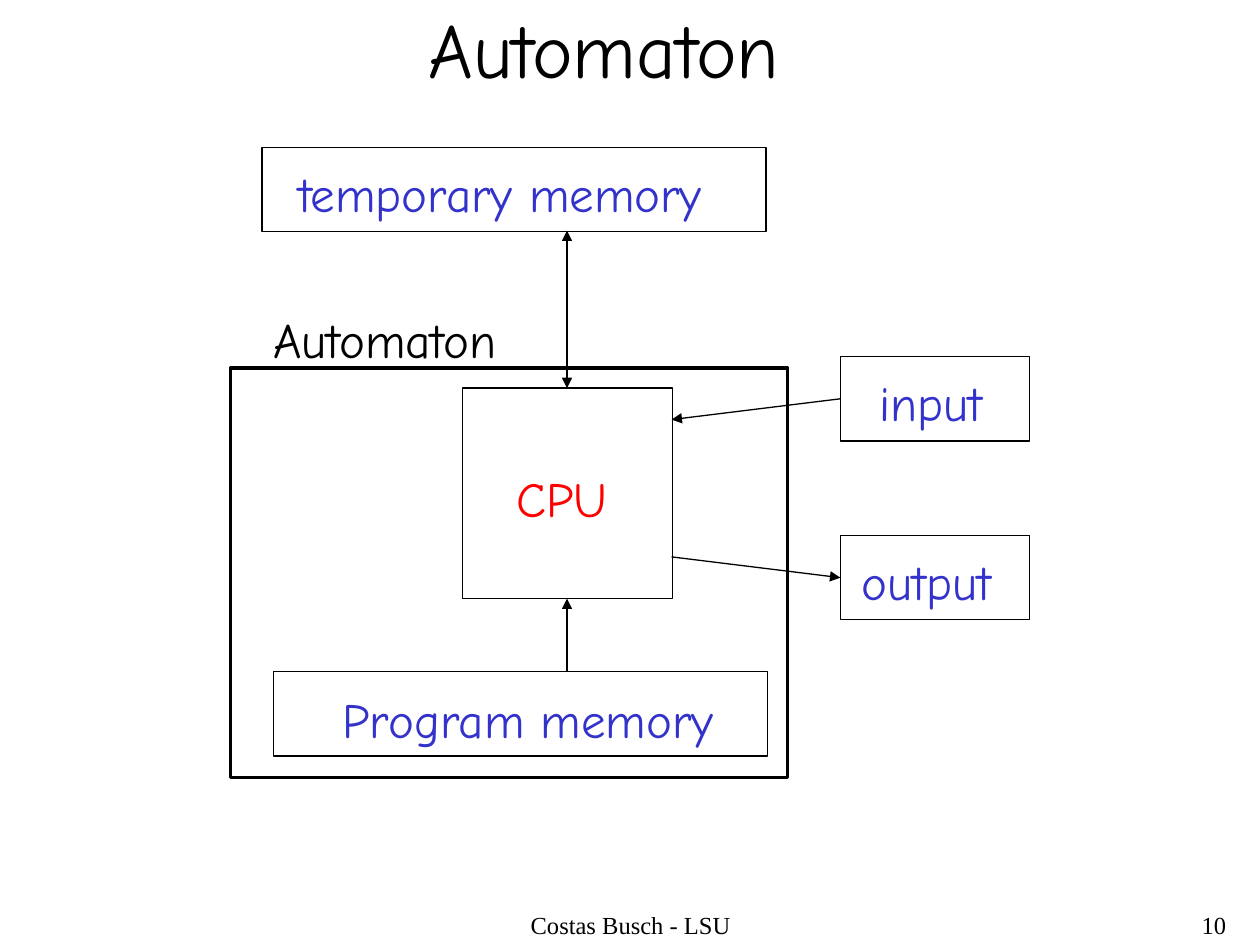
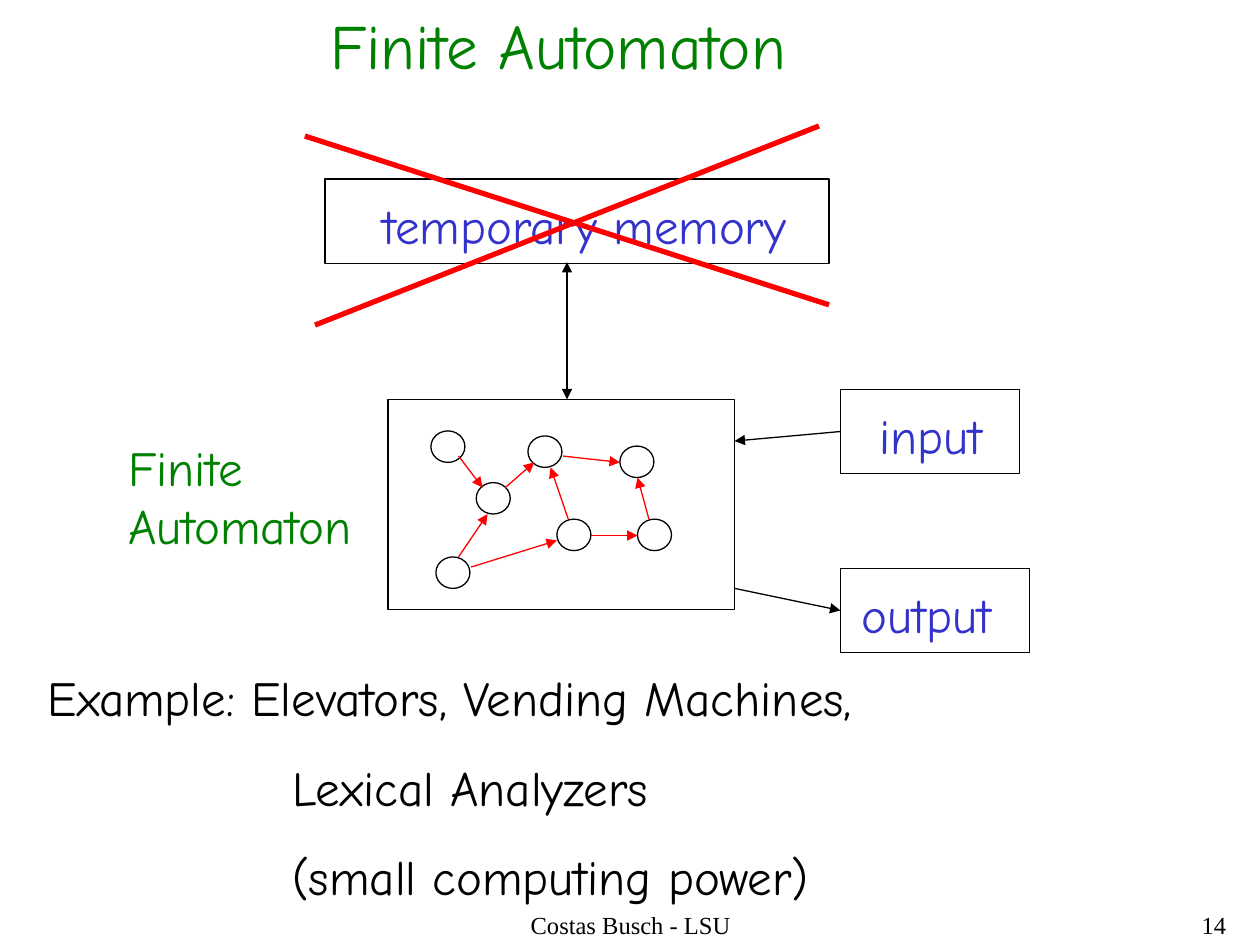
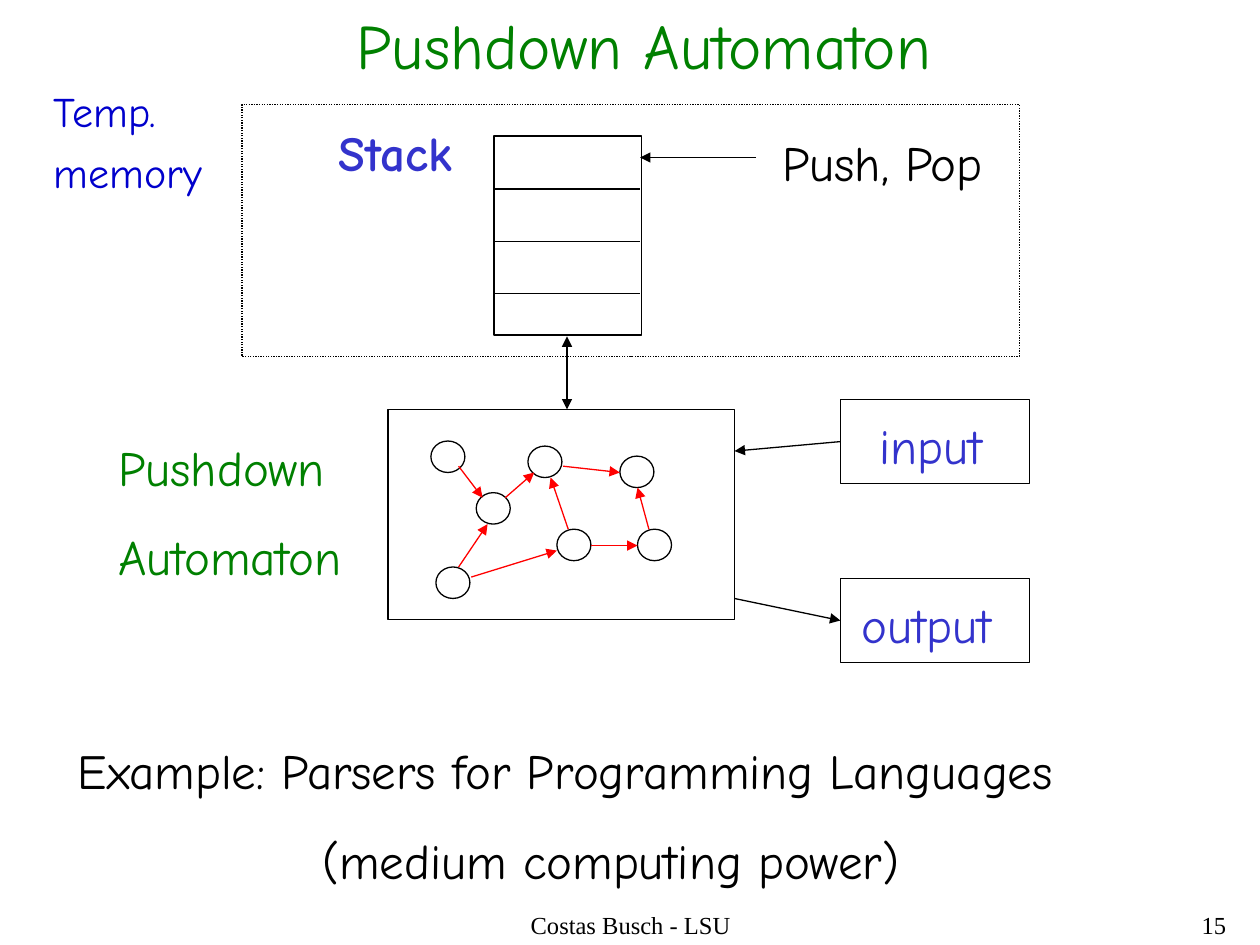
import pptx
import pptx.util
import pptx.dml.color
import pptx.enum.dml
import pptx.enum.shapes
import pptx.enum.text
import pptx.oxml
import pptx.oxml.ns

Inches = pptx.util.Inches
Pt = pptx.util.Pt
RGBColor = pptx.dml.color.RGBColor
Align = pptx.enum.text.PP_ALIGN
Shape = pptx.enum.shapes.MSO_SHAPE

BLACK = RGBColor(0x00, 0x00, 0x00)
RED = RGBColor(0xFF, 0x00, 0x00)
GREEN = RGBColor(0x00, 0x80, 0x00)
VIOLET = RGBColor(0x33, 0x33, 0xCC)
BLUE = RGBColor(0x00, 0x00, 0xCC)

HAND_FONT = "Comic Neue"
FOOTER_FONT = "Times New Roman"
THIN = 0.74
LABEL_SIZE = 28
LABEL_HEIGHT = 0.57
LABEL_GAP = 17.5
EXAMPLE_INDENT = 1.94
BOX_HEIGHT = 0.67
PORT_LEFT = 6.67
AXIS = 4.5
MACHINE_LEFT, MACHINE_WIDTH, MACHINE_HEIGHT = 3.08, 2.75, 1.67

# State positions and transition ends, measured from the machine's corner.
STATES = [(0.34, 0.25), (0.7, 0.66), (1.11, 0.29), (1.34, 0.95),
          (1.84, 0.37), (0.38, 1.25), (1.98, 0.95)]
TRANSITIONS = [
    (0.56, 0.45, 0.75, 0.70), (0.93, 0.70, 1.16, 0.50),
    (1.39, 0.45, 1.84, 0.50), (1.43, 0.95, 1.29, 0.54),
    (0.56, 1.25, 0.79, 0.91), (0.66, 1.33, 1.34, 1.12),
    (1.61, 1.08, 1.98, 1.08), (2.07, 0.95, 1.98, 0.62),
]


def write_text(shape, text, size, color, font=HAND_FONT, align=Align.LEFT,
               wrap=False, gap=LABEL_GAP, bold=False, indent=0):
    """Fill a shape with text; gap and indent apply after the first paragraph."""
    frame = shape.text_frame
    frame.text = text
    frame.word_wrap = wrap
    frame.auto_size = pptx.enum.text.MSO_AUTO_SIZE.NONE
    frame.vertical_anchor = pptx.enum.text.MSO_ANCHOR.TOP
    for index, paragraph in enumerate(frame.paragraphs):
        paragraph.alignment = align
        paragraph.space_before = Pt(gap if index else 0)
        if index and indent:
            paragraph._p.get_or_add_pPr().set("marL", str(Inches(indent)))
        for run in paragraph.runs:
            run.font.name = font
            run.font.size = Pt(size)
            run.font.bold = bold
            run.font.color.rgb = color


def add_label(slide, text, left, top, width, height=LABEL_HEIGHT,
              size=LABEL_SIZE, color=VIOLET, **style):
    """Add a text box."""
    box = slide.shapes.add_textbox(Inches(left), Inches(top),
                                   Inches(width), Inches(height))
    write_text(box, text, size, color, **style)


def add_outline(shapes, kind, left, top, width, height, weight=THIN):
    """Add an unfilled preset shape with a black outline."""
    shape = shapes.add_shape(kind, Inches(left), Inches(top),
                             Inches(width), Inches(height))
    shape.shadow.inherit = False
    shape.fill.background()
    shape.line.color.rgb = BLACK
    shape.line.width = Pt(weight)
    return shape


def add_line(shapes, x1, y1, x2, y2, color=BLACK, weight=THIN, ends=()):
    """Add a straight line; ends may name headEnd and tailEnd arrowheads."""
    line = shapes.add_connector(pptx.enum.shapes.MSO_CONNECTOR.STRAIGHT,
                                Inches(x1), Inches(y1), Inches(x2), Inches(y2))
    line.line.color.rgb = color
    line.line.width = Pt(weight)
    outline = line.line._get_or_add_ln()
    for end in ends:
        arrowhead = pptx.oxml.parse_xml(
            f'<a:{end} {pptx.oxml.ns.nsdecls("a")} type="triangle"/>')
        outline.append(arrowhead)
    line._element.spPr.append(pptx.oxml.parse_xml(
        f'<a:effectLst {pptx.oxml.ns.nsdecls("a")}/>'))


def add_slide(presentation, title, number, left, width, top=0, height=0.7,
              size=36, color=GREEN):
    """Add a slide with its title, footer and page number."""
    slide = presentation.slides.add_slide(presentation.slide_layouts[5])
    heading = slide.shapes.title
    heading.left, heading.top = Inches(left), Inches(top)
    heading.width, heading.height = Inches(width), Inches(height)
    write_text(heading, title, size, color)
    for text, x, span, align in (
            ("Costas Busch - LSU", 3.42, 3.17, Align.CENTER),
            (str(number), 7.75, 2.08, Align.RIGHT)):
        add_label(slide, text, x, 7.17, span, 0.33, 14, BLACK,
                  font=FOOTER_FONT, align=align, wrap=True)
    return slide


def add_ports(slide, machine_right, top, entry, exit_y, input_width=1.5):
    """Add the input and output boxes and their arrows to the machine."""
    output_top = top + 1.42
    middle = BOX_HEIGHT / 2
    add_outline(slide.shapes, Shape.RECTANGLE, PORT_LEFT, top,
                input_width, BOX_HEIGHT)
    add_outline(slide.shapes, Shape.RECTANGLE, PORT_LEFT, output_top,
                1.5, BOX_HEIGHT)
    add_label(slide, "input", 6.88, top + 0.08, 1.02)
    add_label(slide, "output", 6.74, output_top + 0.08, 1.23)
    add_line(slide.shapes, machine_right, entry, PORT_LEFT, top + middle,
             ends=["headEnd"])
    add_line(slide.shapes, machine_right, exit_y, PORT_LEFT,
             output_top + middle, ends=["tailEnd"])


def add_memory_arrow(slide, top, bottom):
    """Add the two-way arrow between memory and machine."""
    add_line(slide.shapes, AXIS, top, AXIS, bottom, ends=["headEnd", "tailEnd"])


def add_state_machine(slide, top, input_width=1.5):
    """Add the machine box with its state graph, input and output."""
    add_ports(slide, MACHINE_LEFT + MACHINE_WIDTH, top - 0.08, top + 0.33,
              top + 1.5, input_width)
    add_outline(slide.shapes, Shape.RECTANGLE, MACHINE_LEFT, top,
                MACHINE_WIDTH, MACHINE_HEIGHT)
    graph = slide.shapes.add_group_shape().shapes
    for x, y in STATES:
        add_outline(graph, Shape.OVAL, MACHINE_LEFT + x, top + y, 0.27, 0.25)
    for x1, y1, x2, y2 in TRANSITIONS:
        add_line(graph, MACHINE_LEFT + x1, top + y1, MACHINE_LEFT + x2,
                 top + y2, RED, ends=["tailEnd"])


def build_automaton(presentation):
    """Build the general automaton slide."""
    slide = add_slide(presentation, "Automaton", 10, 3.3, 3.02, -0.04, 0.84,
                      44, BLACK)
    for left, top, width, height in ((3.67, 3.08, 1.67, 1.67),
                                     (2.08, 1.17, 4, BOX_HEIGHT),
                                     (2.17, 5.33, 3.92, BOX_HEIGHT)):
        add_outline(slide.shapes, Shape.RECTANGLE, left, top, width, height)
    add_label(slide, "CPU", 4, 3.67, 0.92, color=RED)
    add_label(slide, "Program memory", 2.62, 5.42, 3.16)
    add_label(slide, "temporary memory", 2.27, 1.25, 3.42)
    add_ports(slide, 5.33, 2.83, 3.33, 4.42)
    add_memory_arrow(slide, 1.83, 3.08)
    add_line(slide.shapes, AXIS, 4.75, AXIS, 5.33, ends=["headEnd"])
    add_outline(slide.shapes, Shape.RECTANGLE, 1.83, 2.92, 4.42, 3.25, 2)
    add_label(slide, "Automaton", 2.07, 2.41, 1.99, color=BLACK)


def build_finite_automaton(presentation):
    """Build the finite automaton slide with its crossed-out memory."""
    slide = add_slide(presentation, "Finite Automaton", 14, 2.52, 3.86)
    add_outline(slide.shapes, Shape.RECTANGLE, 2.58, 1.42, 4, BOX_HEIGHT)
    add_label(slide, "temporary memory", 2.94, 1.5, 3.42)
    add_memory_arrow(slide, 2.08, 3.17)
    add_state_machine(slide, 3.17, input_width=1.42)
    add_label(slide, "Finite Automaton", 0.92, 3.42, 2.33, 1.04, color=GREEN,
              wrap=True)
    add_line(slide.shapes, 2.42, 1.08, 6.58, 2.42, RED, 3)
    add_line(slide.shapes, 2.5, 2.58, 6.5, 1, RED, 3)
    add_label(slide, "Example: Elevators, Vending Machines,\n"
              "Lexical Analyzers\n(small computing power)",
              0.28, 5.25, 6.76, 1.99, color=BLACK, wrap=True,
              indent=EXAMPLE_INDENT)


def build_pushdown_automaton(presentation):
    """Build the pushdown automaton slide with its stack."""
    slide = add_slide(presentation, "Pushdown Automaton", 15, 2.73, 4.79)
    add_label(slide, "Stack", 2.59, 0.92, 1.11, bold=True)
    add_memory_arrow(slide, 2.67, 3.25)
    add_state_machine(slide, 3.25)
    add_label(slide, "Pushdown\nAutomaton", 0.84, 3.42, 1.99, 1.28,
              color=GREEN)
    add_label(slide, "Example: Parsers for Programming Languages\n"
              "(medium computing power)", 0.52, 5.83, 8.25, 1.28,
              color=BLACK, wrap=True, indent=EXAMPLE_INDENT)
    add_outline(slide.shapes, Shape.RECTANGLE, 3.92, 1.08, 1.17, 1.58)
    for row in range(3):
        y = 1.5 + row * 0.415
        add_line(slide.shapes, 3.92, y, 5.08, y)
    add_line(slide.shapes, 6, 1.25, 5.08, 1.25, ends=["tailEnd"])
    add_label(slide, "Push, Pop", 6.11, 1, 1.81, color=BLACK)
    memory = add_outline(slide.shapes, Shape.RECTANGLE, 1.92, 0.83, 6.17, 2)
    memory.line.dash_style = pptx.enum.dml.MSO_LINE.ROUND_DOT
    add_label(slide, "Temp.\nmemory", 0.33, 0.63, 1.37, 0.99, 24, BLUE, gap=6)


def main():
    """Build and save the three slides."""
    presentation = pptx.Presentation()
    presentation.slide_width = Inches(10)
    presentation.slide_height = Inches(7.5)
    build_automaton(presentation)
    build_finite_automaton(presentation)
    build_pushdown_automaton(presentation)
    presentation.save("out.pptx")


main()
